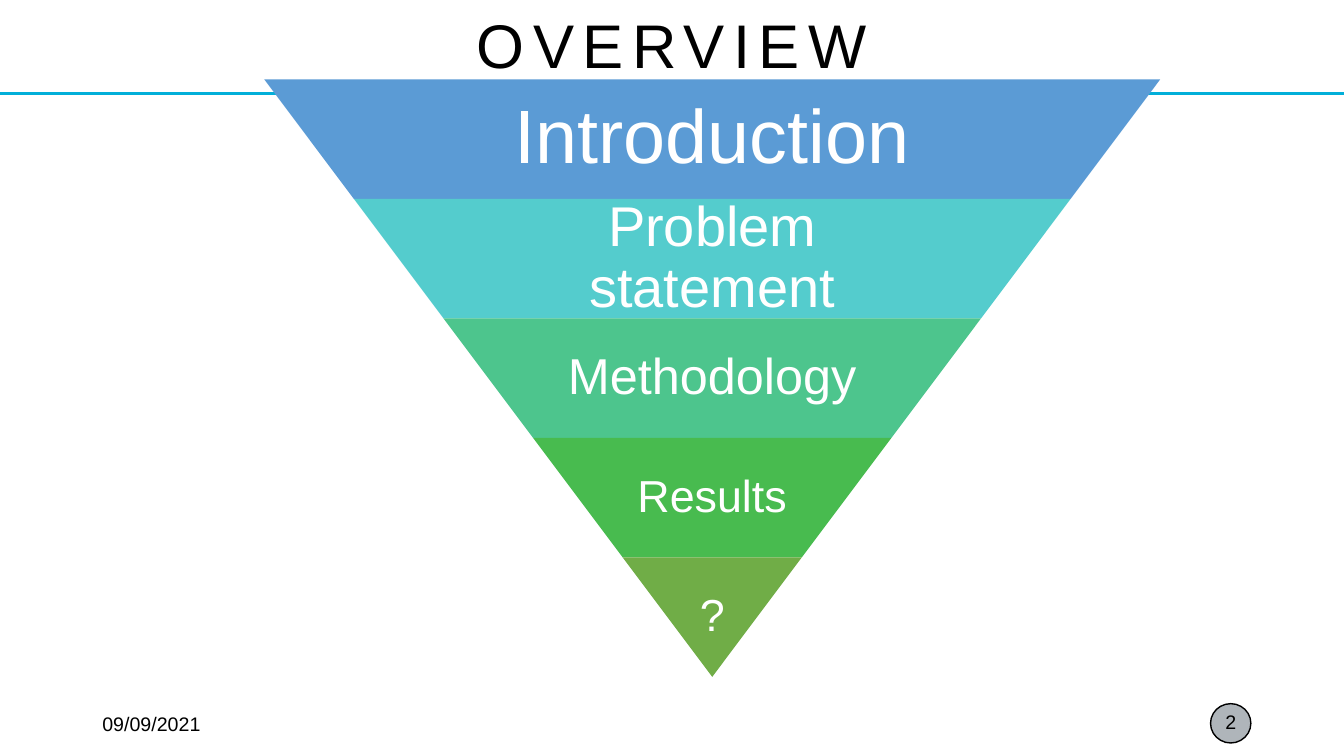
from dataclasses import dataclass

from lxml import etree
from pptx import Presentation
from pptx.dml.color import RGBColor
from pptx.enum.shapes import MSO_CONNECTOR, MSO_SHAPE
from pptx.enum.text import MSO_ANCHOR, PP_ALIGN
from pptx.oxml.ns import qn
from pptx.util import Pt

STRAIGHT = MSO_CONNECTOR.STRAIGHT
OVAL = MSO_SHAPE.OVAL
TRAPEZOID = MSO_SHAPE.TRAPEZOID
MIDDLE = MSO_ANCHOR.MIDDLE
LEFT = PP_ALIGN.LEFT
CENTER = PP_ALIGN.CENTER


@dataclass(frozen=True)
class Theme:
    font: str = "Arial"
    ink: str = "000000"
    light: str = "FFFFFF"
    rule: str = "02AFD9"
    badge: str = "AFB5BA"
    title_size: int = 44
    title_tracking: int = 6
    footer_size: int = 14


THEME = Theme()
PAGE_WIDTH, PAGE_HEIGHT = 960, 540

# Funnel: each band is narrower than the one above by one slope on either side
FUNNEL_CENTER, FUNNEL_TOP = 508.75, 56.7
BAND_HEIGHT, SLOPE = 85.35, 64
TEXT_SHARE = 0.65

# Label, text size, fill, inset
BANDS = [
    ("Introduction", 54, "5B9BD5", 5.4),
    ("Problem statement", 40, "54CCCD", 4),
    ("Methodology", 36, "4DC58D", 3.6),
    ("Results", 32, "48BB4F", 3.2),
    ("?", 32, "70AD47", 3.2),
]


def color(code):
    return RGBColor.from_string(code)


def add_text(shapes, place, text, size, ink=THEME.ink, align=CENTER,
             inset=None, line_spacing=None, tracking=None):
    box = shapes.add_textbox(*map(Pt, place))
    frame = box.text_frame
    frame.word_wrap = True
    frame.vertical_anchor = MIDDLE
    if inset is not None:
        frame.margin_left = frame.margin_right = Pt(inset)
        frame.margin_top = frame.margin_bottom = Pt(inset)
    para = frame.paragraphs[0]
    para.alignment = align
    para.line_spacing = line_spacing
    para.font.name = THEME.font
    para.font.size = Pt(size)
    para.font.color.rgb = color(ink)
    span = para.add_run()
    span.text = text
    if tracking:
        span.font._element.set("spc", str(tracking * 100))


def add_filled(shapes, kind, place, fill, outline=None):
    shape = shapes.add_shape(kind, *map(Pt, place))
    shape.shadow.inherit = False
    shape.fill.solid()
    shape.fill.fore_color.rgb = color(fill)
    if outline:
        shape.line.color.rgb = color(outline)
        shape.line.width = Pt(1)
    else:
        shape.line.fill.background()
    return shape


def add_rule(shapes, top):
    rule = shapes.add_connector(STRAIGHT, 0, Pt(top), Pt(PAGE_WIDTH), Pt(top))
    rule.line.color.rgb = color(THEME.rule)
    rule.line.width = Pt(2.25)
    etree.SubElement(rule._element.spPr, qn("a:effectLst"))


def add_funnel(shapes):
    funnel = shapes.add_group_shape().shapes
    for index, (label, size, fill, inset) in enumerate(BANDS):
        steps_left = len(BANDS) - index
        width = 2 * SLOPE * steps_left
        top = FUNNEL_TOP + index * BAND_HEIGHT
        band = add_filled(funnel, TRAPEZOID,
                          (FUNNEL_CENTER - width / 2, top, width, BAND_HEIGHT), fill)
        band.rotation = 180
        band.adjustments[0] = SLOPE / BAND_HEIGHT

        # The tip keeps its full width for text
        text_width = width * TEXT_SHARE if steps_left > 1 else width
        add_text(funnel, (FUNNEL_CENTER - text_width / 2, top, text_width, BAND_HEIGHT),
                 label, size, THEME.light, inset=inset, line_spacing=0.9)


def main():
    deck = Presentation()
    deck.slide_width, deck.slide_height = Pt(PAGE_WIDTH), Pt(PAGE_HEIGHT)
    page = deck.slides.add_slide(deck.slide_layouts[6])
    shapes = page.shapes

    # Footer badge, title, date and page number
    add_filled(shapes, OVAL, (864.7, 502.6, 28.8, 28.1), THEME.badge, THEME.ink)
    add_text(shapes, (0, 0, PAGE_WIDTH, 69), "OVERVIEW", THEME.title_size,
             line_spacing=0.9, tracking=THEME.title_tracking)
    add_text(shapes, (66, 502.6, 92, 28.8), "09/09/2021", THEME.footer_size, align=LEFT)
    add_text(shapes, (864.7, 501.1, 28.8, 28.1), "2", THEME.footer_size)

    # Rule below the title, then the funnel over it
    add_rule(shapes, 67)
    add_funnel(shapes)

    deck.save("out.pptx")


if __name__ == "__main__":
    main()
